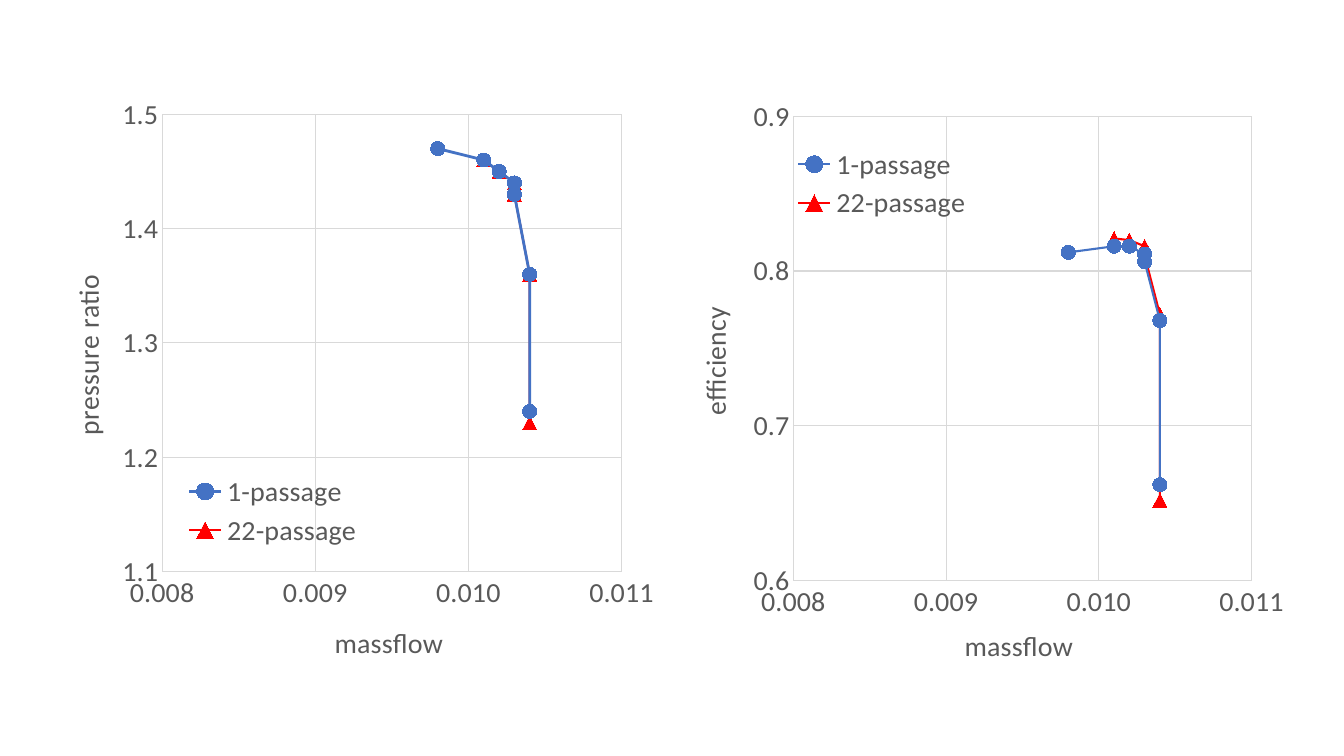
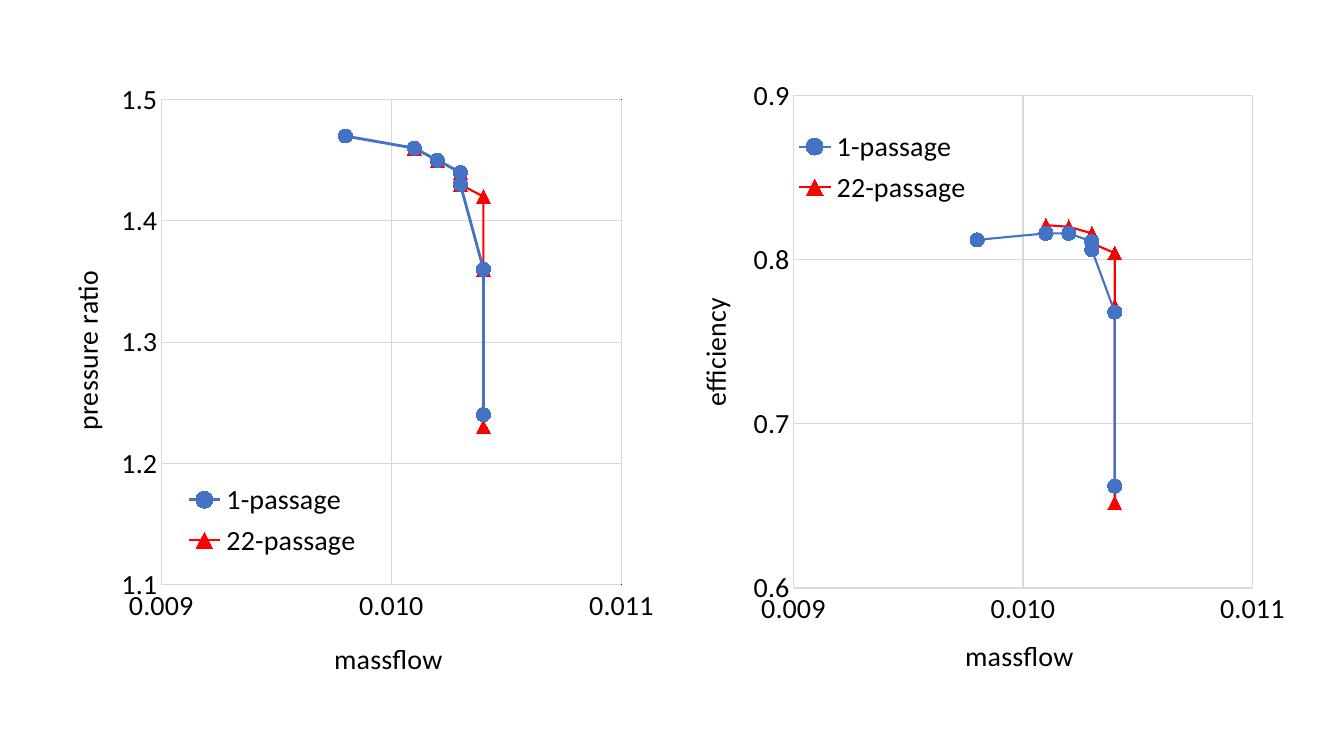
import pptx
import pptx.chart.data
import pptx.dml.color
import pptx.enum.chart
import pptx.oxml
import pptx.oxml.ns
import pptx.util

PX = 9144000 / 1008
FONT = "Calibri"
COLORS = {"blue": "4472C4", "red": "FF0000", "grid": "D9D9D9", "gray": "595959", "black": "000000"}

SINGLE_FLOW = [0.0104, 0.0104, 0.0103, 0.0103, 0.0102, 0.0101, 0.0098]
FULL_FLOW = [0.0104, 0.0104, 0.0104, 0.0103, 0.0103, 0.0102, 0.0101]
EXTRA_POINT = 2

PRESSURE = {
    "title": "pressure ratio",
    "single": [1.24, 1.36, 1.43, 1.44, 1.45, 1.46, 1.47],
    "full": [1.23, 1.36, 1.42, 1.43, 1.44, 1.45, 1.46],
    "range": (1.1, 1.5),
    "line": 2,
    "plot": (0.182, 0.041, 0.752, 0.803),
    "legend": (0.218, 0.665, 0.29, 0.145),
    "title_at": (0.02, 0.318),
}
EFFICIENCY = {
    "title": "efficiency",
    "single": [0.662, 0.768, 0.806, 0.811, 0.816, 0.816, 0.812],
    "full": [0.652, 0.772, 0.804, 0.81, 0.816, 0.82, 0.821],
    "range": (0.6, 0.9),
    "line": 1.5,
    "plot": (0.184, 0.039, 0.75, 0.816),
    "legend": (0.184, 0.085, 0.29, 0.145),
    "title_at": (0.015, 0.367),
}
FLOW_TITLE_AT = (0.456, 0.926)

SLIDES = [
    {"text": "gray", "flow_min": 0.008, "extra": False, "size": (611, 578),
     "charts": [(EFFICIENCY, 681, 94, False), (PRESSURE, 51, 91, False)]},
    {"text": "black", "flow_min": 0.009, "extra": True, "size": (612, 610),
     "charts": [(EFFICIENCY, 681, 72, False), (PRESSURE, 50, 75, True)]},
]


def px(length):
    return pptx.util.Emu(round(length * PX))


def rgb(name):
    return pptx.dml.color.RGBColor.from_string(COLORS[name])


def set_font(font, color):
    font.name = FONT
    font.size = pptx.util.Pt(20)
    font.bold = False
    font.color.rgb = rgb(color)


def set_line(line, color, width):
    line.color.rgb = rgb(color)
    line.width = pptx.util.Pt(width)


def place(element, index, fractions, inner=False):
    for old in element.findall(pptx.oxml.ns.qn("c:layout")):
        element.remove(old)
    tags = '<c:layoutTarget val="inner"/>' if inner else ""
    tags += '<c:xMode val="edge"/><c:yMode val="edge"/>'
    tags += "".join(f'<c:{key} val="{value}"/>' for key, value in zip("xywh", fractions))
    element.insert(index, pptx.oxml.parse_xml(
        f'<c:layout {pptx.oxml.ns.nsdecls("c")}><c:manualLayout>{tags}</c:manualLayout></c:layout>'))


def style_axis(axis, title, title_at, limits, step, number_format, color, rotation):
    axis.minimum_scale, axis.maximum_scale = limits
    axis.major_unit = step
    axis.major_tick_mark = axis.minor_tick_mark = pptx.enum.chart.XL_TICK_MARK.NONE
    axis.format.line.fill.background()
    axis.has_major_gridlines = True
    set_line(axis.major_gridlines.format.line, "grid", 0.75)
    axis.tick_labels.number_format = number_format
    axis.tick_labels.number_format_is_linked = False
    set_font(axis.tick_labels.font, color)
    frame = axis.axis_title.text_frame
    frame.text = title
    set_font(frame.paragraphs[0].runs[0].font, color)
    body = frame._txBody.find(pptx.oxml.ns.qn("a:bodyPr"))
    body.set("rot", str(rotation))
    body.set("vert", "horz")
    place(axis.axis_title._element, 1, title_at)


def style_series(series, color, width, marker_style):
    series.smooth = False
    set_line(series.format.line, color, width)
    marker = series.marker
    marker.style = marker_style
    marker.size = 10
    marker.format.fill.solid()
    marker.format.fill.fore_color.rgb = rgb(color)
    set_line(marker.format.line, color, 0.75)


def add_curves(page, theme, measure, left, top, framed):
    full_points = [point for index, point in enumerate(zip(FULL_FLOW, measure["full"]))
                   if theme["extra"] or index != EXTRA_POINT]
    data = pptx.chart.data.XyChartData()
    for name, points in (("1-passage", zip(SINGLE_FLOW, measure["single"])),
                         ("22-passage", full_points)):
        series = data.add_series(name)
        for flow, value in points:
            series.add_data_point(flow, value)
    chart = page.shapes.add_chart(pptx.enum.chart.XL_CHART_TYPE.XY_SCATTER_LINES,
                                  px(left), px(top), *map(px, theme["size"]), data).chart
    color = theme["text"]
    set_font(chart.font, color)
    chart.has_title = False
    plot = chart.plots[0]
    plot.vary_by_categories = False
    markers = pptx.enum.chart.XL_MARKER_STYLE
    style_series(plot.series[0], "blue", measure["line"], markers.CIRCLE)
    style_series(plot.series[1], "red", 1.5, markers.TRIANGLE)
    style_axis(chart.category_axis, "massflow", FLOW_TITLE_AT, (theme["flow_min"], 0.011),
               0.001, "#,##0.000", color, 0)
    style_axis(chart.value_axis, measure["title"], measure["title_at"], measure["range"],
               0.1, "0.0", color, -5400000)
    chart.has_legend = True
    legend = chart.legend
    legend.position = pptx.enum.chart.XL_LEGEND_POSITION.RIGHT
    legend.include_in_layout = False
    set_font(legend.font, color)
    place(legend._element, 1, measure["legend"])
    plot_area = chart._chartSpace.chart.plotArea
    place(plot_area, 0, measure["plot"], inner=True)
    if framed:
        plot_area.append(pptx.oxml.parse_xml(
            f'<c:spPr {pptx.oxml.ns.nsdecls("c", "a")}><a:noFill/><a:ln w="12700"><a:solidFill>'
            f'<a:srgbClr val="{COLORS["black"]}"/></a:solidFill></a:ln></c:spPr>'))


def main():
    deck = pptx.Presentation()
    deck.slide_width, deck.slide_height = px(1344), px(756)
    for theme in SLIDES:
        page = deck.slides.add_slide(deck.slide_layouts[6])
        for measure, left, top, framed in theme["charts"]:
            add_curves(page, theme, measure, left, top, framed)
    deck.save("out.pptx")


if __name__ == "__main__":
    main()
